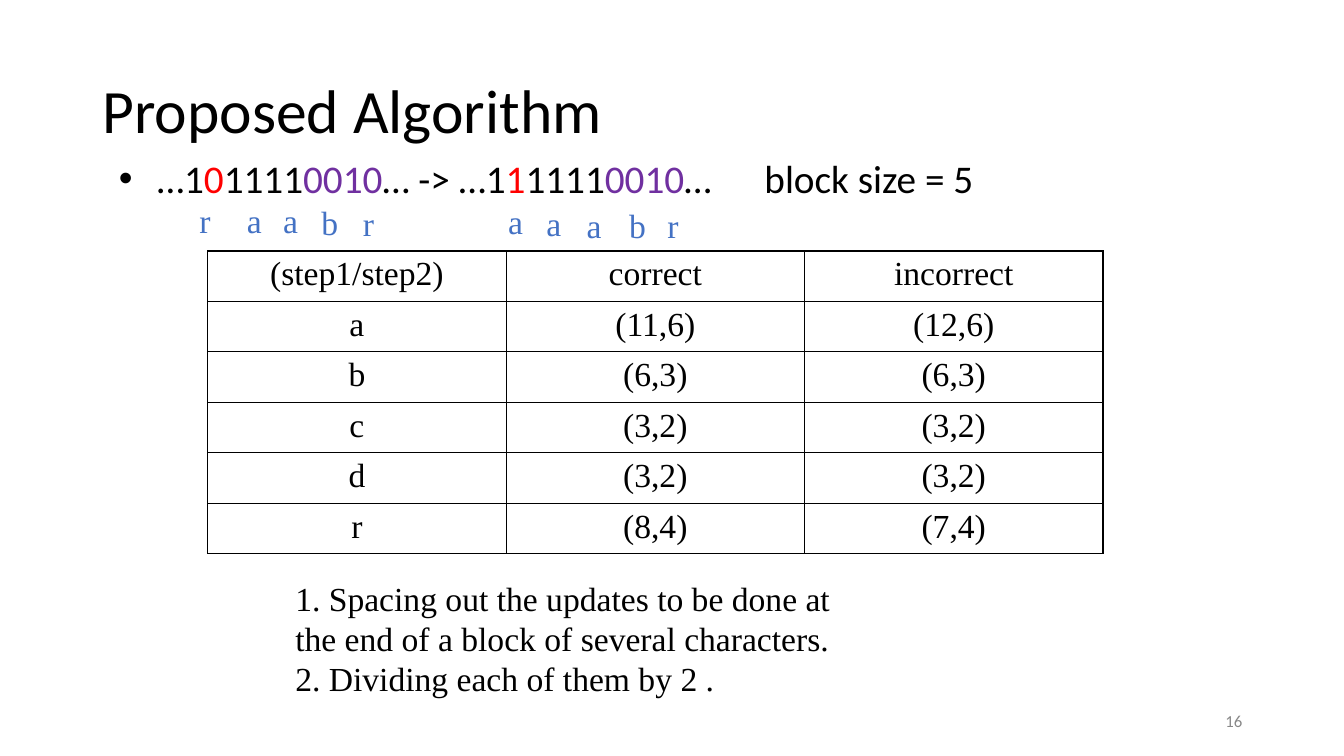
from lxml.etree import SubElement
from pptx import Presentation
from pptx.dml.color import RGBColor
from pptx.enum.text import MSO_ANCHOR, PP_ALIGN
from pptx.oxml.ns import qn
from pptx.util import Pt

PX = 9144
BLACK, RED, PURPLE, BLUE, GRAY = "000000", "FF0000", "7030A0", "4472C4", "888888"
SANS, SERIF = "Calibri", "Times New Roman"

GAP_SPACING = 3160
SEQUENCE = [
    ("…1", BLACK), ("0", RED), ("1111", BLACK), ("0010", PURPLE),
    ("… -> …1", BLACK), ("1", RED), ("1111", BLACK), ("0010", PURPLE),
    ("…", BLACK), (" ", BLACK), ("block size = 5", BLACK),
]
SYMBOLS = [
    ("a", 235, 193), ("a", 271, 193), ("b", 309, 195), ("r", 350, 196),
    ("a", 494, 194), ("a", 532, 196), ("a", 572, 198), ("b", 614, 198), ("r", 652, 198),
]
COUNTS = [
    ("(step1/step2)", "correct", "incorrect"),
    ("a", "(11,6)", "(12,6)"),
    ("b", "(6,3)", "(6,3)"),
    ("c", "(3,2)", "(3,2)"),
    ("d", "(3,2)", "(3,2)"),
    ("r", "(8,4)", "(7,4)"),
]
STEPS = [
    "1. Spacing out the updates to be done at the end of a block of several characters.",
    "2. Dividing each of them by 2 .",
]


def color(value):
    return RGBColor.from_string(value)


def px(*lengths):
    return [length * PX for length in lengths]


class SlideBuilder:
    """Holds the text styles and the current slide, and adds elements to it."""

    styles = {
        "title": {"name": SANS, "size": Pt(44)},
        "body": {"name": SANS, "size": Pt(28)},
        "number": {"name": SANS, "size": Pt(12)},
        "serif": {"name": SERIF, "size": Pt(24)},
    }

    def __init__(self, deck):
        self.page = deck.slides.add_slide(deck.slide_layouts[6])

    def add_spans(self, para, spans, style, align=PP_ALIGN.LEFT):
        para.alignment = align
        for text, fill in spans:
            span = para.add_run()
            span.text = text
            for name, value in self.styles[style].items():
                setattr(span.font, name, value)
            span.font.color.rgb = color(fill)

    def text(self, place, lines, style, align=PP_ALIGN.LEFT, anchor=MSO_ANCHOR.TOP, spacing=1.0):
        box = self.page.shapes.add_textbox(*px(*place))
        frame = box.text_frame
        frame.word_wrap = True
        frame.vertical_anchor = anchor
        for index, spans in enumerate(lines):
            para = frame.add_paragraph() if index else frame.paragraphs[0]
            para.line_spacing = spacing
            self.add_spans(para, spans, style, align)
        return box

    def bullet(self, place, spans, style, margin, indent):
        box = self.text(place, [spans], style, spacing=0.9)
        para = box.text_frame.paragraphs[0]
        properties = para._p.get_or_add_pPr()
        properties.set("marL", str(margin * PX))
        properties.set("indent", str(indent * PX))
        ink = SubElement(properties, qn("a:buClr"))
        SubElement(ink, qn("a:srgbClr"), val=BLACK)
        SubElement(properties, qn("a:buFont"), typeface="Arial")
        SubElement(properties, qn("a:buChar"), char="•")
        for span in para.runs:
            if span.text == " ":
                span._r.get_or_add_rPr().set("spc", str(GAP_SPACING))

    def table(self, left, top, rows, column_width, row_height, style):
        size = len(rows), len(rows[0])
        place = px(left, top, column_width * size[1], row_height * size[0])
        table = self.page.shapes.add_table(*size, *place).table
        table.first_row = table.horz_banding = False
        for column in table.columns:
            column.width = column_width * PX
        for row, texts in zip(table.rows, rows):
            row.height = row_height * PX
            for cell, text in zip(row.cells, texts):
                self.border(cell)
                cell.fill.background()
                para = cell.text_frame.paragraphs[0]
                self.add_spans(para, [(text, BLACK)], style, PP_ALIGN.CENTER)

    def border(self, cell):
        properties = cell._tc.get_or_add_tcPr()
        for side in ("lnL", "lnR", "lnT", "lnB"):
            line = SubElement(properties, qn(f"a:{side}"), w=str(Pt(1)))
            fill = SubElement(line, qn("a:solidFill"))
            SubElement(fill, qn("a:srgbClr"), val=BLACK)


def main():
    deck = Presentation()
    deck.slide_width, deck.slide_height = px(1333, 750)
    slide = SlideBuilder(deck)
    slide.text((92, 40, 1150, 145), [[("Proposed Algorithm", BLACK)]], "title",
               anchor=MSO_ANCHOR.MIDDLE, spacing=0.9)
    slide.bullet((96, 153, 1150, 476), SEQUENCE, "body", 50, -38)
    slide.text((942, 695, 300, 40), [[("16", GRAY)]], "number",
               PP_ALIGN.RIGHT, MSO_ANCHOR.MIDDLE)
    slide.text((188, 193, 38, 50), [[("r", BLUE)]], "serif")
    for symbol, left, top in SYMBOLS:
        slide.text((left, top, 25, 50), [[(symbol, BLUE)]], "serif", PP_ALIGN.CENTER)
    slide.text((283, 568, 569, 131), [[(step, BLACK)] for step in STEPS], "serif")
    slide.table(206, 249, COUNTS, 296, 50, "serif")
    deck.save("out.pptx")


if __name__ == "__main__":
    main()
